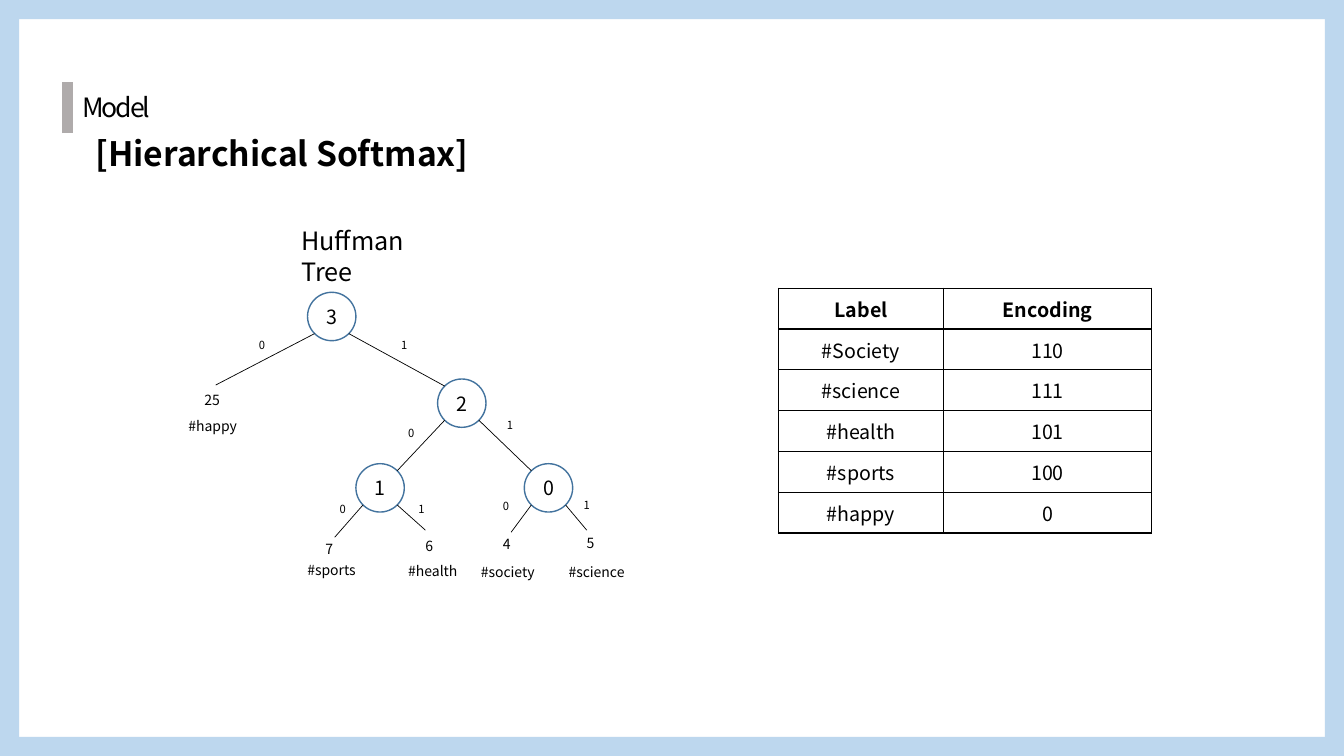
from dataclasses import dataclass

from lxml import etree
from pptx import Presentation
from pptx.dml.color import RGBColor
from pptx.enum.shapes import MSO_CONNECTOR, MSO_SHAPE
from pptx.enum.text import MSO_ANCHOR, PP_ALIGN
from pptx.oxml.ns import qn
from pptx.util import Emu, Pt

LINE = MSO_CONNECTOR.STRAIGHT
OVAL, RECT = MSO_SHAPE.OVAL, MSO_SHAPE.RECTANGLE
MIDDLE, CENTER = MSO_ANCHOR.MIDDLE, PP_ALIGN.CENTER
FONT = "Noto Sans CJK KR"
COLOR = {"ink": "000000", "mark": "AFABAB", "ring": "43739E", "frame": "BDD7EE"}
WIDE, HIGH, EDGE = 1333, 750, 19
SIZE, REACH = 48, 17  # node diameter, centre to diagonal point


def px(n: int) -> Emu:
    """100 px make one inch."""
    return Emu(n * 9144)


def rgb(name: str) -> RGBColor:
    return RGBColor.from_string(COLOR[name])


@dataclass
class Label:
    text: str
    x: int
    y: int
    w: int
    h: int
    size: int
    bold: bool = False
    wrap: bool = True
    gap: int = 0  # letter spacing, 1/100 pt


@dataclass
class Node:
    text: str
    x: int  # centre
    y: int


@dataclass
class Leaf:
    count: str
    x: int  # end of the branch
    y: int
    at: tuple[int, int]
    tag: str
    spot: tuple[int, int]
    width: int


@dataclass
class Branch:
    top: Node
    end: Node | Leaf
    bit: str  # "0" goes left, "1" goes right
    at: tuple[int, int]


def style(para, size: int, bold: bool = False) -> None:
    font = para.font
    font.name, font.size, font.bold = FONT, Pt(size), bold
    font.color.rgb = rgb("ink")


def put_text(slide, item: Label) -> None:
    box = slide.shapes.add_textbox(px(item.x), px(item.y), px(item.w), px(item.h))
    frame = box.text_frame
    frame.word_wrap = item.wrap
    para = frame.paragraphs[0]
    run = para.add_run()
    run.text = item.text
    style(para, item.size, item.bold)
    if item.gap:
        run.font._element.set("spc", str(item.gap))


def put_line(slide, x1: int, y1: int, x2: int, y2: int, color: str, width: float) -> None:
    line = slide.shapes.add_connector(LINE, px(x1), px(y1), px(x2), px(y2))
    line.line.color.rgb = rgb(color)
    line.line.width = Pt(width)
    etree.SubElement(line._element.spPr, qn("a:effectLst"))


def put_node(slide, node: Node) -> None:
    half = SIZE // 2
    oval = slide.shapes.add_shape(
        OVAL, px(node.x - half), px(node.y - half), px(SIZE), px(SIZE))
    oval.shadow.inherit = False
    oval.fill.background()
    oval.line.color.rgb = rgb("ring")
    oval.line.width = Pt(1)
    frame = oval.text_frame
    frame.margin_left = frame.margin_right = frame.margin_top = frame.margin_bottom = 0
    frame.vertical_anchor = MIDDLE
    para = frame.paragraphs[0]
    para.text, para.alignment = node.text, CENTER
    style(para, 14)


def put_branch(slide, item: Branch) -> None:
    side = REACH if item.bit == "1" else -REACH
    x, y = item.end.x, item.end.y
    if isinstance(item.end, Node):
        x, y = x - side, y - REACH
    put_line(slide, item.top.x + side, item.top.y + REACH, x, y, "ink", 0.5)
    put_text(slide, Label(item.bit, *item.at, 42, 37, 8))


def put_leaf(slide, leaf: Leaf) -> None:
    put_text(slide, Label(leaf.count, *leaf.at, 66, 42, 10))
    put_text(slide, Label(leaf.tag, *leaf.spot, leaf.width, 42, 10))


def put_bar(slide, x: int, y: int, w: int, h: int) -> None:
    bar = slide.shapes.add_shape(RECT, px(x), px(y), px(w), px(h))
    bar.shadow.inherit = False
    bar.fill.solid()
    bar.fill.fore_color.rgb = rgb("frame")
    bar.line.fill.background()


def put_borders(cell) -> None:
    props = cell._tc.get_or_add_tcPr()
    for side in ("a:lnL", "a:lnR", "a:lnT", "a:lnB"):
        edge = etree.SubElement(props, qn(side), w=str(Pt(1)))
        fill = etree.SubElement(edge, qn("a:solidFill"))
        etree.SubElement(fill, qn("a:srgbClr"), val=COLOR["ink"])


def put_table(slide, rows: list[tuple[str, str]]) -> None:
    table = slide.shapes.add_table(
        len(rows), 2, px(772), px(286), px(370), px(243)).table
    table.first_row = table.horz_banding = False
    for col, width in zip(table.columns, (164, 206)):
        col.width = px(width)
    for r, row in enumerate(rows):
        for c, text in enumerate(row):
            cell = table.cell(r, c)
            put_borders(cell)
            cell.fill.background()
            cell.vertical_anchor = MIDDLE
            para = cell.text_frame.paragraphs[0]
            para.text, para.alignment = text, CENTER
            style(para, 14, r == 0)


TITLES = [
    Label("Model", 72, 85, 89, 42, 19, wrap=False, gap=-150),
    Label("[Hierarchical Softmax]", 85, 127, 614, 50, 24, bold=True),
    Label("Huffman Tree", 289, 219, 175, 40, 18),
]
NODES = [Node("3", 329, 314), Node("2", 458, 400), Node("1", 377, 484), Node("0", 544, 484)]
ROOT, MID, LEFT, RIGHT = NODES
LEAVES = [
    Leaf("25", 214, 382, (193, 383), "#happy", (177, 409), 110),
    Leaf("7", 332, 533, (313, 531), "#sports", (295, 552), 107),
    Leaf("6", 422, 526, (412, 528), "#health", (395, 553), 108),
    Leaf("4", 507, 528, (489, 526), "#society", (467, 554), 115),
    Leaf("5", 582, 526, (572, 525), "#science", (554, 554), 118),
]
HAPPY, SPORTS, HEALTH, SOCIAL, SCIENCE = LEAVES
BRANCHES = [
    Branch(ROOT, HAPPY, "0", (247, 331)),
    Branch(ROOT, MID, "1", (388, 331)),
    Branch(MID, LEFT, "0", (395, 418)),
    Branch(MID, RIGHT, "1", (493, 410)),
    Branch(LEFT, SPORTS, "0", (327, 493)),
    Branch(LEFT, HEALTH, "1", (405, 493)),
    Branch(RIGHT, SOCIAL, "0", (489, 490)),
    Branch(RIGHT, SCIENCE, "1", (569, 489)),
]
CODES = [
    ("Label", "Encoding"), ("#Society", "110"), ("#science", "111"),
    ("#health", "101"), ("#sports", "100"), ("#happy", "0"),
]
BARS = [
    (0, HIGH - EDGE, WIDE, EDGE), (0, 0, WIDE, EDGE),
    (0, 7, EDGE, 728), (WIDE - EDGE, 7, EDGE, 728),
]


def main() -> None:
    deck = Presentation()
    deck.slide_width, deck.slide_height = px(WIDE), px(HIGH)
    slide = deck.slides.add_slide(deck.slide_layouts[6])

    # Headings
    put_line(slide, 67, 132, 67, 81, "mark", 8.5)
    for item in TITLES:
        put_text(slide, item)

    # Huffman tree
    for node in NODES:
        put_node(slide, node)
    for item in BRANCHES:
        put_branch(slide, item)
    for leaf in LEAVES:
        put_leaf(slide, leaf)

    # Code table
    put_table(slide, CODES)

    # Frame
    for bar in BARS:
        put_bar(slide, *bar)

    deck.save("out.pptx")


if __name__ == "__main__":
    main()
